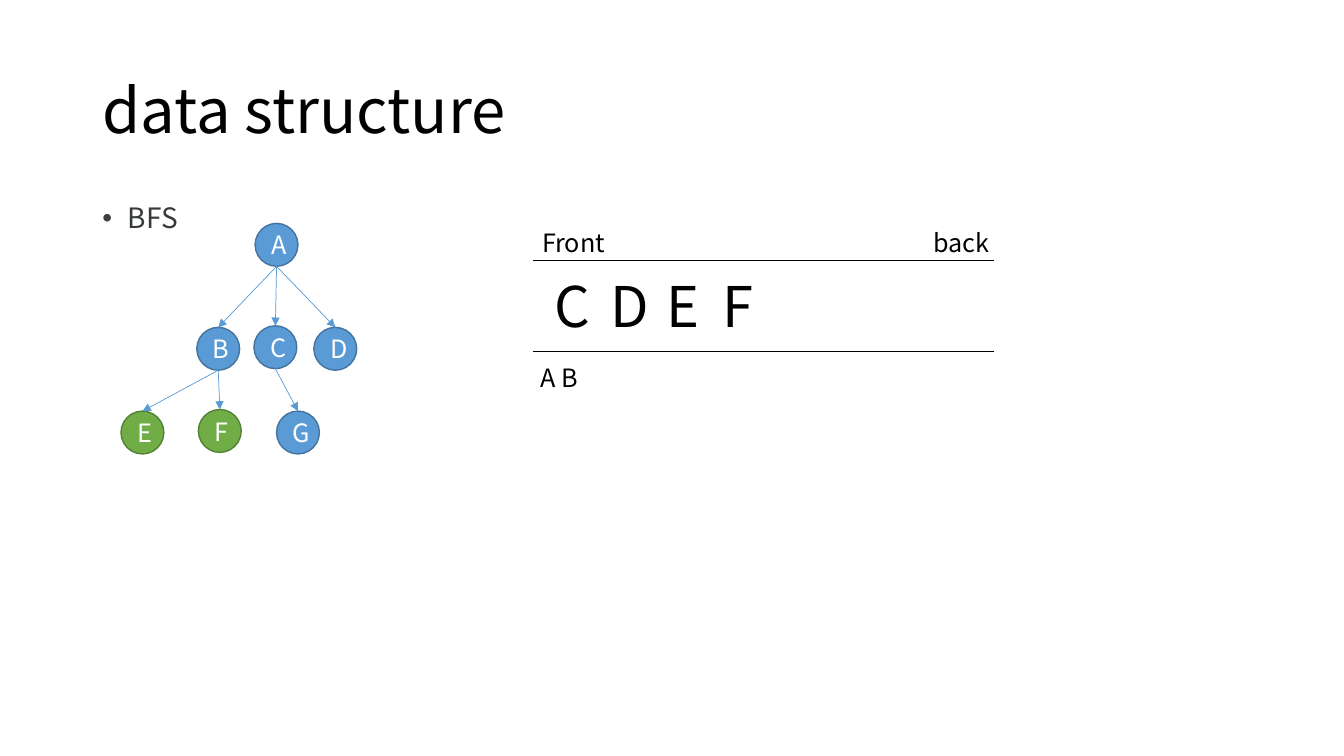
from dataclasses import dataclass

from lxml import etree
from pptx import Presentation
from pptx import util as u
from pptx.dml.color import RGBColor
from pptx.enum import shapes, text
from pptx.oxml import ns

FONT = "Noto Sans CJK KR"
BLACK, WHITE = "000000", "FFFFFF"
BLUE, BLUE_EDGE = "5B9BD5", "43739E"
GREEN, GREEN_EDGE = "70AD47", "538035"
NODE_SIZE = 1.08
TAB_STEP = 1.41


@dataclass
class Node:
    name: str
    left: float
    top: float
    fill: str = BLUE
    edge: str = BLUE_EDGE
    parent: str = ""


@dataclass
class Label:
    words: str
    left: float
    top: float
    width: float
    height: float
    size: float = 18


NODES = [
    Node("A", 6.43, 5.63),
    Node("B", 4.96, 8.25, parent="A"),
    Node("C", 6.4, 8.21, parent="A"),
    Node("D", 7.91, 8.25, parent="A"),
    Node("E", 3.05, 10.36, GREEN, GREEN_EDGE, "B"),
    Node("F", 5, 10.32, GREEN, GREEN_EDGE, "B"),
    Node("G", 6.97, 10.36, parent="C"),
]
LABELS = [
    Label("Front\t\t\t\t\t\tback", 13.41, 5.61, 12.17, 1.04),
    Label("C\tD\tE\tF", 13.72, 6.71, 6, 1.98, 40),
    Label("A B", 13.38, 9.01, 1.7, 1.04),
]


def colour(code: str) -> RGBColor:
    return RGBColor.from_string(code)


def child(parent, tag: str, **attributes: str):
    return etree.SubElement(parent, ns.qn(tag), attributes)


def add_span(para, words: str, size: float, code: str) -> None:
    span = para.add_run()
    span.text = words
    span.font.name = FONT
    span.font.size = u.Pt(size)
    span.font.color.rgb = colour(code)


def set_title(page) -> None:
    title = page.shapes.title
    title.left, title.top = u.Cm(2.33), u.Cm(1.01)
    title.width, title.height = u.Cm(29.21), u.Cm(3.68)
    frame = title.text_frame
    frame.auto_size = text.MSO_AUTO_SIZE.NONE
    frame.vertical_anchor = text.MSO_ANCHOR.MIDDLE
    para = frame.paragraphs[0]
    para.alignment = text.PP_ALIGN.LEFT
    para.line_spacing = 0.9
    add_span(para, "data structure", 44, BLACK)


def add_bullet(page) -> None:
    box = page.shapes.add_textbox(u.Cm(2.33), u.Cm(5.03), u.Cm(10.41), u.Cm(12.09))
    box.text_frame.word_wrap = True
    para = box.text_frame.paragraphs[0]
    para.line_spacing = 0.9
    para.space_before = u.Pt(10)
    indent = u.Cm(0.64)
    settings = para._p.get_or_add_pPr()
    settings.set("marL", str(indent))
    settings.set("indent", str(-indent))
    child(child(settings, "a:buClr"), "a:srgbClr", val="404040")
    child(settings, "a:buFont", typeface="Arial")
    child(settings, "a:buChar", char="•")
    add_span(para, "BFS", 20, "373A3C")


def add_node(page, node: Node):
    circle = page.shapes.add_shape(
        shapes.MSO_SHAPE.OVAL, u.Cm(node.left), u.Cm(node.top), u.Cm(NODE_SIZE), u.Cm(NODE_SIZE)
    )
    circle.shadow.inherit = False
    circle.fill.solid()
    circle.fill.fore_color.rgb = colour(node.fill)
    circle.line.color.rgb = colour(node.edge)
    circle.line.width = u.Pt(1)
    circle.text_frame.vertical_anchor = text.MSO_ANCHOR.MIDDLE
    para = circle.text_frame.paragraphs[0]
    para.alignment = text.PP_ALIGN.CENTER
    add_span(para, node.name, 18, WHITE)
    return circle


def add_arrow(page, parent, target) -> None:
    """Point from the bottom of the parent circle to the top of the target."""
    arrow = page.shapes.add_connector(
        shapes.MSO_CONNECTOR.STRAIGHT,
        parent.left + parent.width // 2,
        parent.top + parent.height,
        target.left + target.width // 2,
        target.top,
    )
    arrow.end_connect(target, 0)
    arrow.line.color.rgb = colour(BLUE)
    arrow.line.width = u.Pt(0.5)
    child(arrow.line._get_or_add_ln(), "a:tailEnd", type="triangle")
    child(arrow._element.spPr, "a:effectLst")


def add_queue(page) -> None:
    """Draw the queue as a one-cell table, ruled above and below."""
    table = page.shapes.add_table(1, 1, u.Cm(13.42), u.Cm(6.57), u.Cm(11.63), u.Cm(2.29)).table
    table.first_row = table.horz_banding = False
    cell = table.cell(0, 0)
    settings = cell._tc.get_or_add_tcPr()
    for side in "LRTB":
        border = child(settings, f"a:ln{side}", w=str(u.Pt(1)))
        if side in "TB":
            child(child(border, "a:solidFill"), "a:srgbClr", val=BLACK)
        else:
            child(border, "a:noFill")
    cell.fill.background()


def add_label(page, label: Label) -> None:
    box = page.shapes.add_textbox(
        u.Cm(label.left), u.Cm(label.top), u.Cm(label.width), u.Cm(label.height)
    )
    box.text_frame.word_wrap = True
    para = box.text_frame.paragraphs[0]
    if "\t" in label.words:
        stops = child(para._p.get_or_add_pPr(), "a:tabLst")
        for number in range(1, 8):
            child(stops, "a:tab", pos=str(u.Cm(number * TAB_STEP)), algn="l")
    add_span(para, label.words, label.size, BLACK)


def main() -> None:
    deck = Presentation()
    deck.slide_width, deck.slide_height = u.Cm(33.87), u.Cm(19.05)
    page = deck.slides.add_slide(deck.slide_layouts.get_by_name("Title Only"))
    set_title(page)
    add_bullet(page)
    circles = {node.name: add_node(page, node) for node in NODES}
    for node in NODES:
        if node.parent:
            add_arrow(page, circles[node.parent], circles[node.name])
    add_queue(page)
    for label in LABELS:
        add_label(page, label)
    deck.save("out.pptx")


if __name__ == "__main__":
    main()
